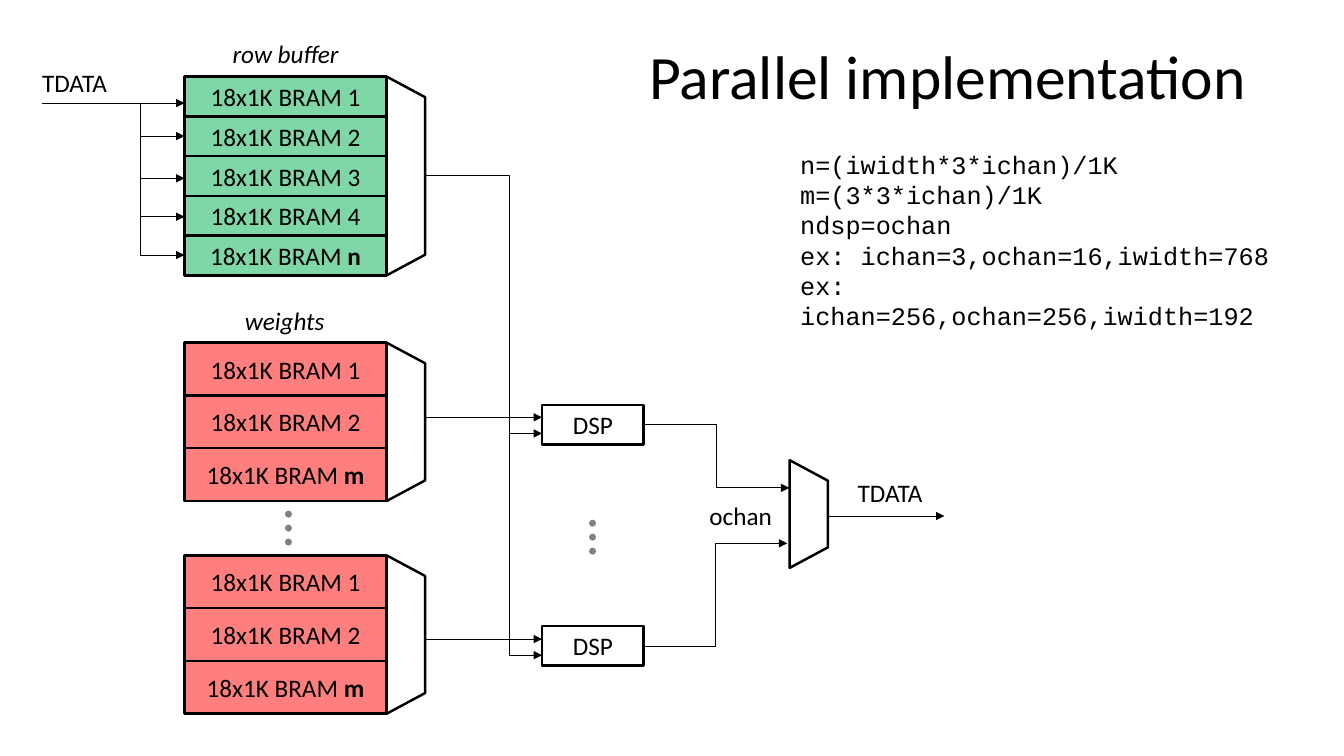
from lxml import etree
from pptx import Presentation
from pptx.dml.color import RGBColor
from pptx.enum.dml import MSO_LINE
from pptx.enum.shapes import MSO_CONNECTOR, MSO_SHAPE
from pptx.enum.text import MSO_ANCHOR, MSO_AUTO_SIZE, PP_ALIGN
from pptx.oxml.ns import qn
from pptx.util import Pt

BLACK = RGBColor(0, 0, 0)
GRAY = RGBColor(0x80, 0x80, 0x80)
GREEN = RGBColor(0x00, 0xB0, 0x50)
RED = RGBColor(0xFF, 0x00, 0x00)
RECT = MSO_SHAPE.RECTANGLE
TRAP = MSO_SHAPE.TRAPEZOID
LINE = MSO_CONNECTOR.STRAIGHT
ELBOW = MSO_CONNECTOR.ELBOW
DOT = MSO_LINE.ROUND_DOT
CENTER = PP_ALIGN.CENTER
LEFT = PP_ALIGN.LEFT
TOP = MSO_ANCHOR.TOP
MIDDLE = MSO_ANCHOR.MIDDLE
FIXED = MSO_AUTO_SIZE.NONE

BANK_X, BANK_W = 131.8, 144.4
MUX_W = 27.4
MUX_X = BANK_X + BANK_W
OUT_X = MUX_X + MUX_W
BUS_X, DSP_X, DSP_W, DSP_H = 363.8, 387.2, 72.6, 28.2
FEED_X, FEED_Y = 100, 73.6


class Diagram:
    """Draws circuit elements on one slide in a shared style."""

    def __init__(self, slide):
        self.slide = slide
        self.shapes = slide.shapes

    def font(self, para, size=18, name="Calibri", italic=None):
        para.font.size = Pt(size)
        para.font.name = name
        para.font.italic = italic
        para.font.color.rgb = BLACK

    def title(self, text, x, y, w, h):
        box = self.shapes.title
        box.left, box.top, box.width, box.height = Pt(x), Pt(y), Pt(w), Pt(h)
        frame = box.text_frame
        frame.text = text
        frame.auto_size = FIXED
        frame.vertical_anchor = TOP
        para = frame.paragraphs[0]
        para.alignment = LEFT
        para.line_spacing = 0.9
        self.font(para, 44)

    def text(self, lines, x, y, w, h, wrap=False, **style):
        frame = self.shapes.add_textbox(Pt(x), Pt(y), Pt(w), Pt(h)).text_frame
        frame.word_wrap = wrap
        frame.text = "\n".join(lines)
        for para in frame.paragraphs:
            self.font(para, **style)

    def shape(self, kind, x, y, w, h):
        shape = self.shapes.add_shape(kind, Pt(x), Pt(y), Pt(w), Pt(h))
        shape.shadow.inherit = False
        shape.fill.background()
        shape.line.color.rgb = BLACK
        shape.line.width = Pt(1.75)
        return shape

    def block(self, text, x, y, w, h, fill=None, bold=""):
        shape = self.shape(RECT, x, y, w, h)
        if fill is not None:
            shape.fill.solid()
            shape.fill.fore_color.rgb = fill
            color = shape.element.spPr.find(qn("a:solidFill"))[0]
            etree.SubElement(color, qn("a:alpha"), val="50000")
        frame = shape.text_frame
        frame.word_wrap = False
        frame.vertical_anchor = MIDDLE
        para = frame.paragraphs[0]
        para.alignment = CENTER
        para.add_run().text = text
        if bold:
            run = para.add_run()
            run.text = bold
            run.font.bold = True
        self.font(para)

    def mux(self, x, y, h):
        shape = self.shape(TRAP, x + (MUX_W - h) / 2, y + (h - MUX_W) / 2,
                           h, MUX_W)
        shape.rotation = 90
        shape.adjustments[0] = 0.536

    def bank(self, names, y, step, fill):
        for i, name in enumerate(names):
            num = name.isdigit()
            self.block("18x1K BRAM " + (name if num else ""), BANK_X,
                       y + i * step, BANK_W, step, fill,
                       "" if num else name)
        self.mux(MUX_X, y, len(names) * step)

    def wire(self, x1, y1, x2, y2, end="tailEnd", kind=LINE, preset=None):
        wire = self.shapes.add_connector(kind, Pt(x1), Pt(y1), Pt(x2), Pt(y2))
        wire.line.color.rgb = BLACK
        wire.line.width = Pt(0.5)
        props = wire.element.spPr
        if preset:
            props.find(qn("a:prstGeom")).set("prst", preset)
        if end:
            etree.SubElement(wire.get_or_add_ln(), qn("a:" + end),
                             type="triangle")
        etree.SubElement(props, qn("a:effectLst"))
        return wire

    def dots(self, x, y):
        wire = self.wire(x, y, x, y + 29.5, end=None)
        wire.line.color.rgb = GRAY
        wire.line.width = Pt(5)
        wire.line.dash_style = DOT
        wire.get_or_add_ln().set("cap", "rnd")


def main():
    deck = Presentation()
    deck.slide_width, deck.slide_height = Pt(960), Pt(540)
    art = Diagram(deck.slides.add_slide(deck.slide_layouts[5]))
    art.title("Parallel implementation", 456.5, 29.5, 463, 104.4)
    art.text(["n=(iwidth*3*ichan)/1K", "m=(3*3*ichan)/1K", "ndsp=ochan",
              "ex: ichan=3,ochan=16,iwidth=768",
              "ex: ichan=256,ochan=256,iwidth=192"],
             564.5, 103, 353.5, 138, wrap=True, name="Courier New")

    art.bank("1234n", 54.7, 28.4, GREEN)
    for y in (244.8, 396.7):
        art.bank("12m", y, 37.7, RED)

    art.text(["row buffer"], 159.1, 23.8, 91.4, 29, italic=True)
    art.text(["weights"], 167.8, 214.6, 72, 29, italic=True)
    art.text(["TDATA"], 23, 44.6, 61.2, 29)
    art.text(["TDATA"], 605.5, 337.7, 61.2, 29)
    art.text(["ochan"], 499.7, 353.5, 64, 29, wrap=True)
    art.dots(205.9, 367.2)
    art.dots(423.4, 373.7)

    art.wire(30.2, FEED_Y, BANK_X, FEED_Y)
    for y in (97.2, 127.4, 154.8):
        art.wire(FEED_X, y, BANK_X, y)
    art.wire(BANK_X, 182.2, FEED_X, FEED_Y, "headEnd", ELBOW,
             "bentConnector2")
    art.wire(OUT_X, 125.3, BUS_X, 468, None, ELBOW, "bentConnector2")

    for y, weight, bus in ((289.4, 298.1, 309.6), (447.1, 456.5, 468)):
        art.block("DSP", DSP_X, y, DSP_W, DSP_H)
        art.wire(OUT_X, weight, DSP_X, weight)
        art.wire(BUS_X, bus, DSP_X, bus)
    art.wire(459.4, 303.1, 563.8, 348.5, kind=ELBOW)
    art.wire(459.4, 461.5, 562.3, 388.1, kind=ELBOW)
    art.mux(564, 328.7, 77)
    art.wire(591.1, 368.6, 674.6, 368.6)
    deck.save("out.pptx")


if __name__ == "__main__":
    main()
